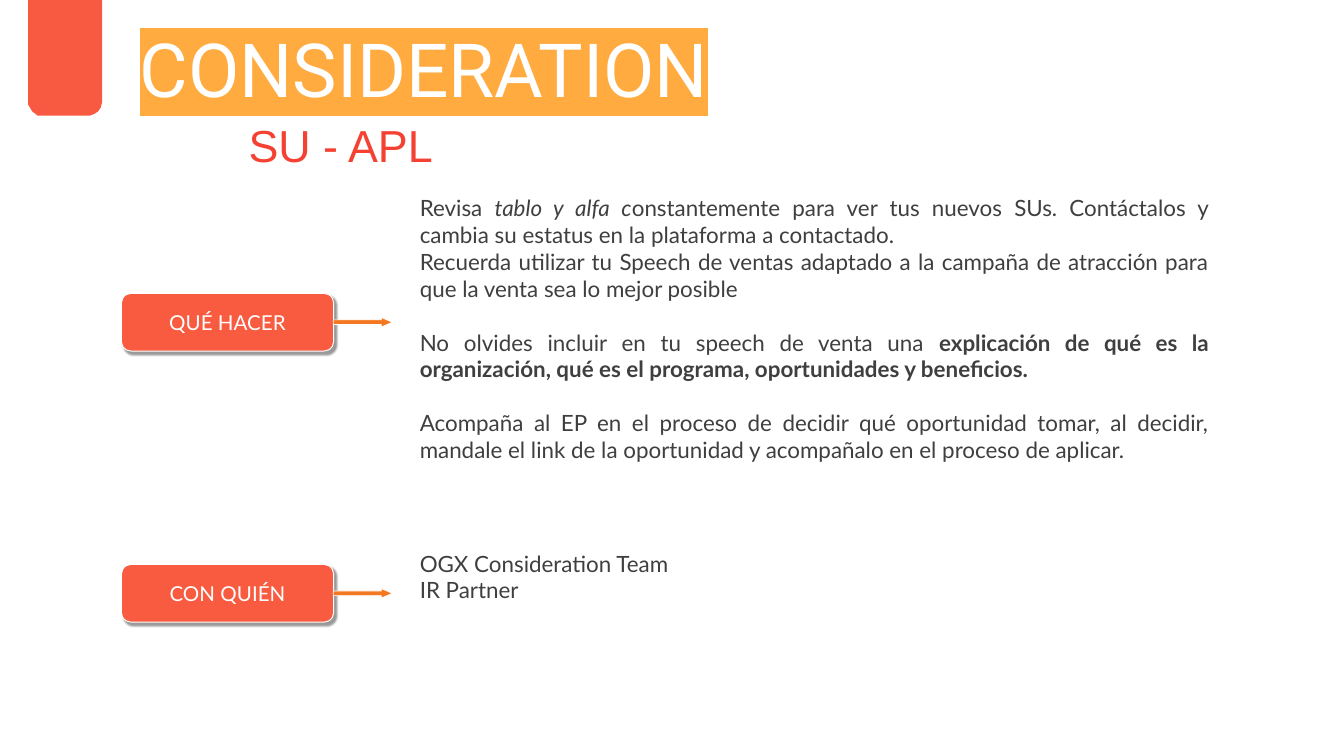
"""Build the CONSIDERATION slide: what to do and with whom."""
from lxml import etree
from pptx import Presentation
from pptx.dml.color import RGBColor
from pptx.enum.shapes import MSO_SHAPE
from pptx.enum.text import MSO_ANCHOR, MSO_AUTO_SIZE, PP_ALIGN
from pptx.oxml.ns import qn
from pptx.util import Inches, Pt

ROUNDED, ARROW = MSO_SHAPE.ROUNDED_RECTANGLE, MSO_SHAPE.RIGHT_ARROW
TOP, MIDDLE = MSO_ANCHOR.TOP, MSO_ANCHOR.MIDDLE
LEFT, CENTER, JUSTIFY = PP_ALIGN.LEFT, PP_ALIGN.CENTER, PP_ALIGN.JUSTIFY
GROW, FIXED = MSO_AUTO_SIZE.SHAPE_TO_FIT_TEXT, MSO_AUTO_SIZE.NONE

TITLE = [{"spans": [("CONSIDERATION", "")]}]
SUBTITLE = [{"spans": [("SU - APL", "")]}]
ROWS = [
    {"label": "QUÉ HACER", "middle": 23.98, "text_top": 13.35, "text_height": 22.2, "paragraphs": [
        {"spans": [
            ("Revisa ", ""),
            ("tablo y alfa c", "italic"),
            ("onstantemente para ver tus nuevos SUs. Contáctalos y cambia su estatus "
             "en la plataforma a contactado.", "")]},
        {"spans": [
            ("Recuerda utilizar tu Speech de ventas adaptado a la campaña de atracción "
             "para que la venta sea lo mejor posible", "")]},
        {"before": 14.4, "spans": [
            ("No olvides incluir en tu speech de venta una ", ""),
            ("explicación de qué es la organización, qué es el programa, "
             "oportunidades y beneficios.", "bold")]},
        {"before": 14.4, "spans": [
            ("Acompaña al EP en el proceso de decidir qué oportunidad tomar, al decidir, "
             "mandale el link de la oportunidad y acompañalo en el proceso de aplicar.", "")]},
    ]},
    {"label": "CON QUIÉN", "middle": 44.15, "text_top": 39.85, "text_height": 6.1, "paragraphs": [
        {"spans": [("OGX Consideration Team", "")]},
        {"spans": [("IR Partner", "")]},
    ]},
]
TAB_OUTLINE = [(6.7, 8.6), (3, 8.6), (2.8, 8.6), (2.4, 8.3), (2.1, 7.8), (2.1, 7.6), (2.1, 0),
               (7.6, 0), (7.6, 7.6), (7.5, 8), (7.3, 8.3), (7, 8.5)]

THEME = {
    "label": "F85B40", "tab": "F75A40", "arrow": "F47721", "edge": "FFFFFF", "shadow": "000000",
    "title": {"font": "Roboto", "size": 40, "color": "FFFFFF", "highlight": "FFAB40"},
    "subtitle": {"font": "Arial", "size": 24, "color": "F54132"},
    "label_text": {"font": "Lato", "size": 11, "color": "FFFFFF"},
    "body": {"font": "Lato", "size": 12, "color": "3F3F3F"},
}

WIDTH = 10
HEIGHT = WIDTH * 9 / 16
COLUMNS = 100
CELL = Inches(WIDTH) / COLUMNS
LABEL_COLUMN, ARROW_COLUMN, TEXT_COLUMN = (9.03, 15.8), (24.8, 4.4), (30.25, 60.7)
LABEL_HEIGHT, ARROW_HEIGHT = 4.3, 0.7


def grid(*cells):
    return [round(cell * CELL) for cell in cells]


def write(box, paragraphs, *, font, size, color, highlight=None, align=LEFT, anchor=TOP,
          inset=0, fit=FIXED, spacing=None):
    frame = box.text_frame
    frame.word_wrap, frame.auto_size, frame.vertical_anchor = True, fit, anchor
    for side in ("left", "top", "right", "bottom"):
        setattr(frame, f"margin_{side}", Inches(inset))
    for index, content in enumerate(paragraphs):
        para = frame.add_paragraph() if index else frame.paragraphs[0]
        para.alignment, para.line_spacing = align, spacing
        para.space_before = Pt(content.get("before", 0))
        for text, style in content["spans"]:
            span = para.add_run()
            span.text = text
            span.font.name, span.font.size = font, Pt(size)
            span.font.bold, span.font.italic = style == "bold", style == "italic"
            span.font.color.rgb = RGBColor.from_string(color)
            if highlight:
                mark = etree.Element(qn("a:highlight"))
                etree.SubElement(mark, qn("a:srgbClr"), val=highlight)
                span.font.fill._xPr.find(qn("a:solidFill")).addnext(mark)


def add_text(page, place, paragraphs, **text_format):
    write(page.shapes.add_textbox(*grid(*place)), paragraphs, **text_format)


def paint(shape, fill, edge_width=None):
    shape.shadow.inherit = False
    shape.fill.solid()
    shape.fill.fore_color.rgb = RGBColor.from_string(fill)
    if edge_width:
        shape.line.color.rgb = RGBColor.from_string(THEME["edge"])
        shape.line.width = Pt(edge_width)
    else:
        shape.line.fill.background()


def add_shadow(shape):
    effects = shape._element.spPr.find(qn("a:effectLst"))
    shadow = etree.SubElement(effects, qn("a:outerShdw"), blurRad=str(Pt(1)), dist=str(Pt(2)),
                              dir="2700000", algn="tl", rotWithShape="0")
    color = etree.SubElement(shadow, qn("a:srgbClr"), val=THEME["shadow"])
    etree.SubElement(color, qn("a:alpha"), val="40000")


def add_row(page, row):
    left, width = LABEL_COLUMN
    label = page.shapes.add_shape(
        ROUNDED, *grid(left, row["middle"] - LABEL_HEIGHT / 2, width, LABEL_HEIGHT))
    label.adjustments[0] = 0.17
    paint(label, THEME["label"], 0.5)
    add_shadow(label)
    write(label, [{"spans": [(row["label"], "")]}], **THEME["label_text"],
          align=CENTER, anchor=MIDDLE)

    left, width = ARROW_COLUMN
    arrow = page.shapes.add_shape(
        ARROW, *grid(left, row["middle"] - ARROW_HEIGHT / 2, width, ARROW_HEIGHT))
    arrow.adjustments[1] = 1.17
    paint(arrow, THEME["arrow"], 0.38)

    left, width = TEXT_COLUMN
    add_text(page, (left, row["text_top"], width, row["text_height"]), row["paragraphs"],
             **THEME["body"], align=JUSTIFY, anchor=MIDDLE, inset=0.1, fit=GROW)


def add_tab(page):
    start, *rest = [grid(*point) for point in TAB_OUTLINE]
    builder = page.shapes.build_freeform(*start)
    builder.add_line_segments(rest, close=True)
    paint(builder.convert_to_shape(), THEME["tab"])


def main():
    deck = Presentation()
    deck.slide_width, deck.slide_height = Inches(WIDTH), Inches(HEIGHT)
    page = deck.slides.add_slide(deck.slide_layouts[6])
    for row in ROWS:
        add_row(page, row)
    add_tab(page)
    add_text(page, (9.5, 1.55, 58.6, 5.3), TITLE, **THEME["title"], inset=0.09, spacing=0.9)
    add_text(page, (16.5, 6.75, 18.6, 8.1), SUBTITLE, **THEME["subtitle"], inset=0.2, fit=GROW)
    deck.save("out.pptx")


if __name__ == "__main__":
    main()
